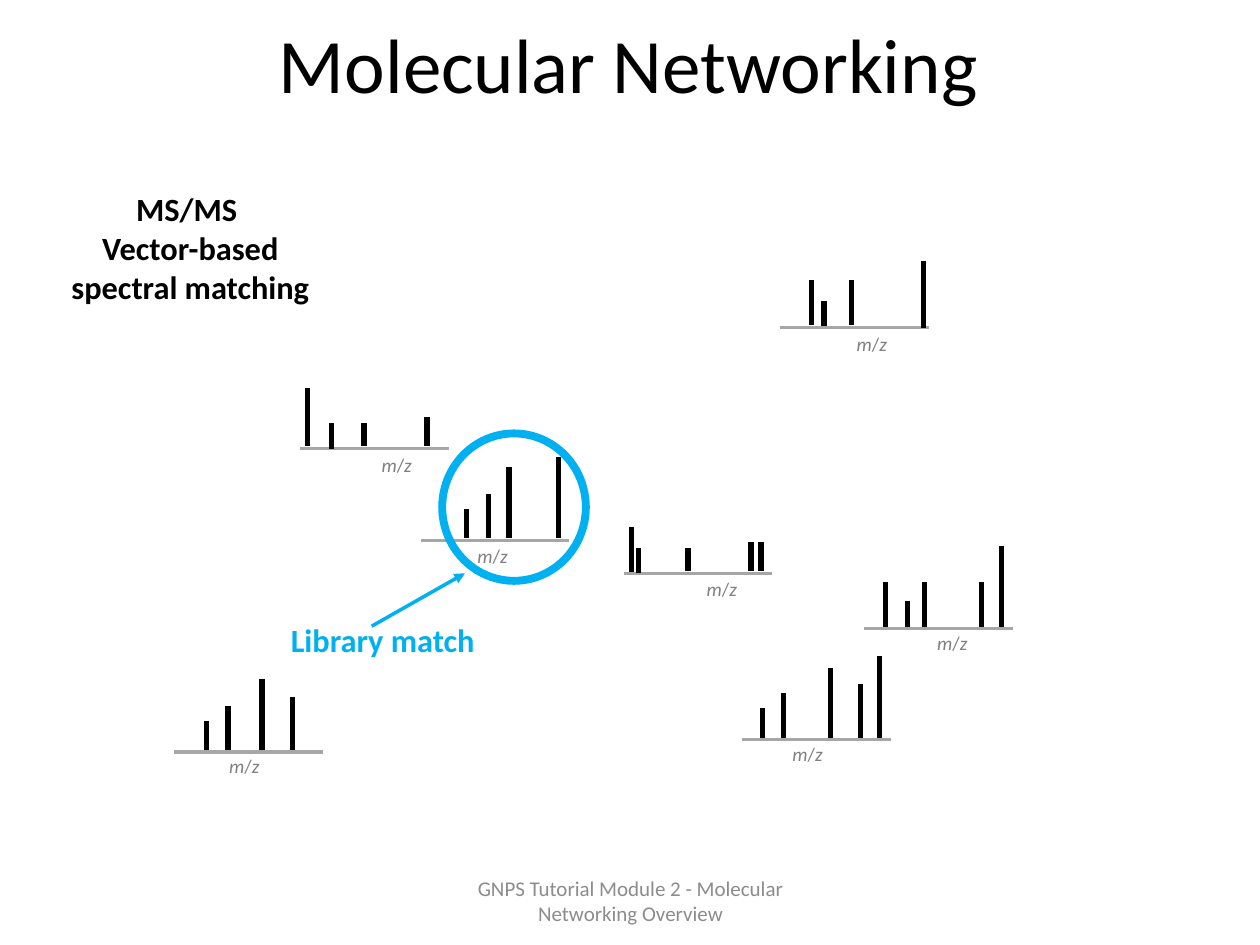
from dataclasses import dataclass

from lxml import etree
from pptx import Presentation
from pptx.dml.color import RGBColor
from pptx.enum.shapes import MSO_CONNECTOR, MSO_SHAPE
from pptx.enum.text import MSO_ANCHOR, MSO_AUTO_SIZE, PP_ALIGN
from pptx.oxml.ns import qn
from pptx.util import Inches, Pt

STRAIGHT = MSO_CONNECTOR.STRAIGHT
OVAL = MSO_SHAPE.OVAL
TOP, MIDDLE = MSO_ANCHOR.TOP, MSO_ANCHOR.MIDDLE
LEFT, CENTER = PP_ALIGN.LEFT, PP_ALIGN.CENTER
FIT_SHAPE, FIXED = MSO_AUTO_SIZE.SHAPE_TO_FIT_TEXT, MSO_AUTO_SIZE.NONE


@dataclass(frozen=True)
class Theme:
    font: str = "Calibri"
    ink: str = "000000"
    axis: str = "A6A6A6"
    unit: str = "808080"
    footer: str = "8C8C8C"
    match: str = "00B0F0"
    title_size: float = 44
    heading_size: float = 18.5
    footer_size: float = 12
    unit_size: float = 11
    peak_width: float = 3
    axis_width: float = 2
    ring_width: float = 4.5


theme = Theme()
deck = Presentation()
deck.slide_width, deck.slide_height = Inches(10), Inches(7.5)
column = deck.slide_width // 1000
row = deck.slide_height // 750
slide = deck.slides.add_slide(deck.slide_layouts[6])


def write(shapes, area, lines, size, color, align=LEFT, anchor=TOP, fit=FIT_SHAPE, bold=False):
    left, top, width, height = area
    box = shapes.add_textbox(left * column, top * row, width * column, height * row)
    frame = box.text_frame
    frame.word_wrap = True
    frame.auto_size = fit
    frame.vertical_anchor = anchor
    for index, line in enumerate(lines):
        paragraph = frame.add_paragraph() if index else frame.paragraphs[0]
        paragraph.alignment = align
        for words, italic in line:
            run = paragraph.add_run()
            run.text = words
            run.font.name = theme.font
            run.font.size = Pt(size)
            run.font.bold = bold
            run.font.italic = italic
            run.font.color.rgb = RGBColor.from_string(color)


def draw_line(shapes, start, end, color, width):
    stroke = shapes.add_connector(
        STRAIGHT, start[0] * column, start[1] * row, end[0] * column, end[1] * row
    )
    stroke.line.color.rgb = RGBColor.from_string(color)
    stroke.line.width = Pt(width)
    etree.SubElement(stroke._element.spPr, qn("a:effectLst"))
    return stroke


write(slide.shapes, (49, 8, 900, 125), [[("Molecular Networking", False)]],
      theme.title_size, theme.ink, CENTER, fit=FIXED)
write(slide.shapes, (342, 695, 317, 40),
      [[("GNPS Tutorial Module 2 - Molecular Networking Overview", False)]],
      theme.footer_size, theme.footer, CENTER, MIDDLE, FIXED)

axis_length = 118
unit_text = [[("m", True), ("/", False), ("z", True)]]
# Each spectrum: axis start, baseline, unit offset, and peaks as (offset, height, gap).
spectra = [
    (686, 499, (48, -3), [(17, 37, 1), (34, 22, 1), (109, 66, 1), (93, 37, 1), (48, 37, 1)]),
    (495, 455, (56, -2), [(12, 20, 0), (109, 25, 2), (101, 25, 2), (51, 20, 2), (6, 37, 1)]),
    (238, 356, (55, -1), [(25, 20, 0), (101, 25, 2), (51, 20, 2), (6, 48, 2)]),
    (334, 429, (35, -2), [(36, 25, 2), (54, 37, 2), (109, 66, 2), (70, 58, 2)]),
    (138, 597, (34, -3), [(26, 25, 2), (43, 37, 2), (94, 44, 2), (70, 58, 2)]),
    (589, 587, (30, -3), [(16, 25, 1), (33, 37, 1), (109, 66, 1), (94, 44, 1), (70, 57, 1)]),
    (619, 260, (51, -1), [(25, 38, 2), (35, 21, 1), (57, 38, 2), (114, 53, 0)]),
]
for axis_start, baseline, (unit_shift, unit_drop), peaks in spectra:
    spectrum = slide.shapes.add_group_shape().shapes
    draw_line(spectrum, (axis_start, baseline), (axis_start + axis_length, baseline),
              theme.axis, theme.axis_width)
    for offset, height, gap in peaks:
        mass = axis_start + offset
        draw_line(spectrum, (mass, baseline - height), (mass, baseline - gap),
                  theme.ink, theme.peak_width)
    write(spectrum, (axis_start + unit_shift, baseline + unit_drop, 56, 29),
          unit_text, theme.unit_size, theme.unit)

match_ring = slide.shapes.add_shape(OVAL, 351 * column, 344 * row, 114 * column, 117 * row)
match_ring.shadow.inherit = False
match_ring.fill.background()
match_ring.line.color.rgb = RGBColor.from_string(theme.match)
match_ring.line.width = Pt(theme.ring_width)

write(slide.shapes, (221, 487, 201, 41), [[("Library match", False)]],
      theme.heading_size, theme.match, bold=True)
match_pointer = draw_line(slide.shapes, (295, 497), (369, 455), theme.match, theme.axis_width)
etree.SubElement(match_pointer.line._get_or_add_ln(), qn("a:tailEnd"), type="triangle")

write(slide.shapes, (37, 145, 228, 103),
      [[("MS/MS ", False)], [("Vector-based spectral matching", False)]],
      theme.heading_size, theme.ink, CENTER, bold=True)

deck.save("out.pptx")
